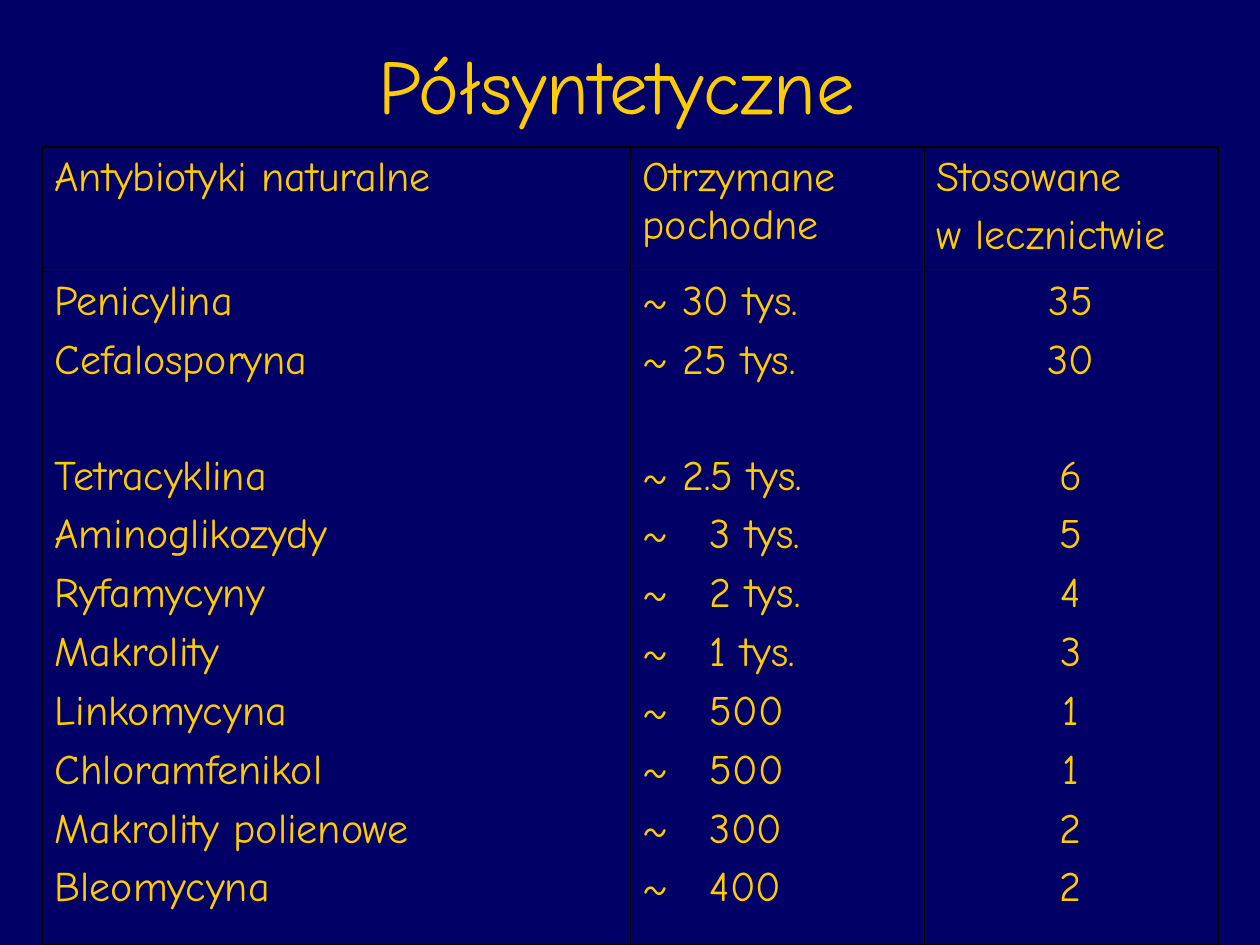
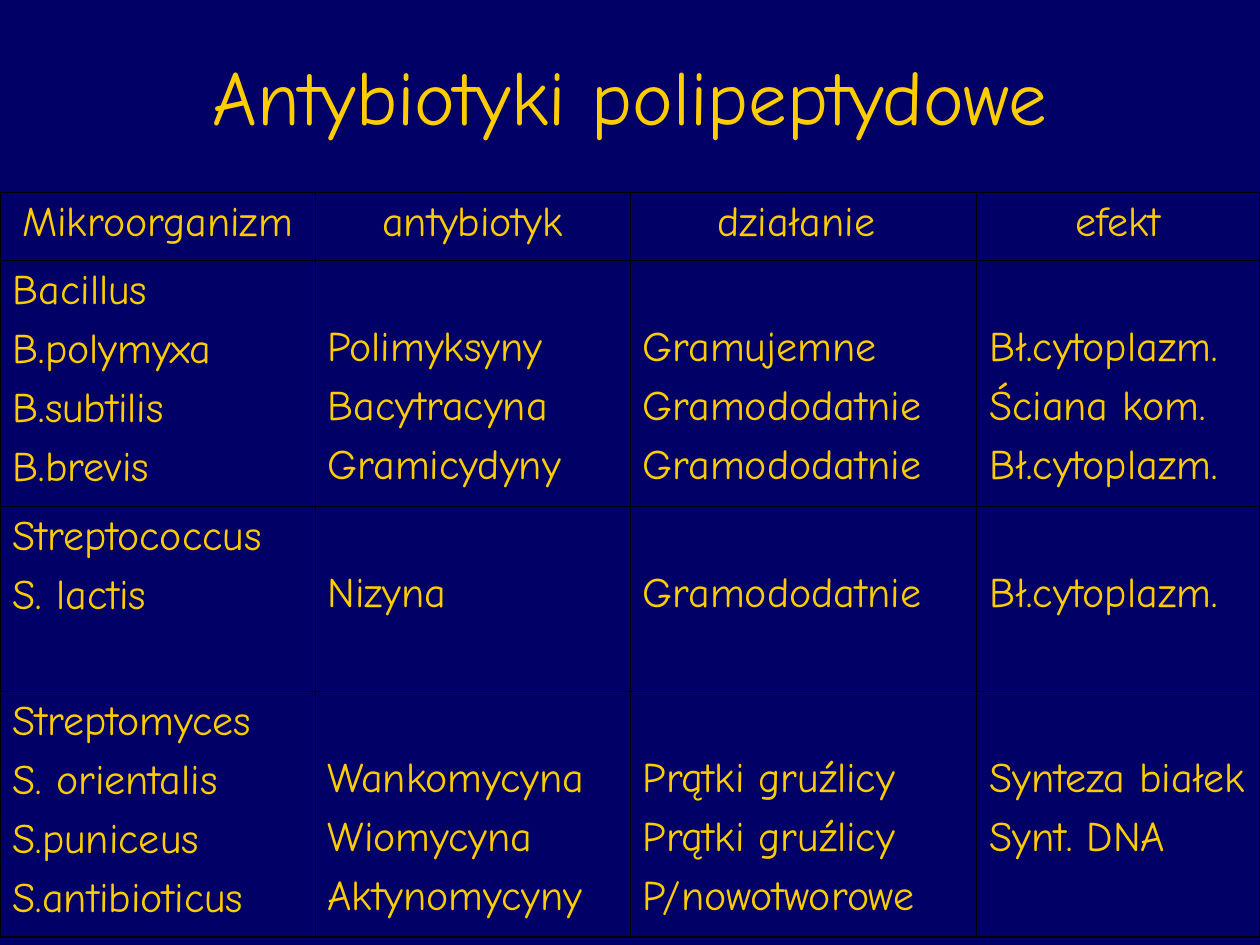
from lxml.etree import SubElement
from pptx import Presentation
from pptx.dml.color import RGBColor
from pptx.enum.text import MSO_ANCHOR as Anchor, MSO_AUTO_SIZE as AutoSize, PP_ALIGN as Align
from pptx.oxml.ns import qn
from pptx.util import Pt

COLORS = {"background": "000066", "text": "FFCC00", "border": "000000"}
FONT = "Comic Neue"
TITLE_SIZE, TABLE_SIZE = 44, 24
INSET_X, INSET_Y = 7.2, 3.6
LINE_GAP, SKIPPED_LINE = 6, 32.4
OUTER_BORDER, INNER_BORDER = 1.08, 0.45
AMOUNT_TAB = 38.5
SKIP = None

DERIVATIVES = [
    ("Penicylina", "~ 30 tys.", "35"),
    ("Cefalosporyna", "~ 25 tys.", "30"),
    (SKIP, SKIP, SKIP),
    ("Tetracyklina", "~ 2.5 tys.", "6"),
    ("Aminoglikozydy", "~\t3 tys.", "5"),
    ("Ryfamycyny", "~\t2 tys.", "4"),
    ("Makrolity", "~\t1 tys.", "3"),
    ("Linkomycyna", "~\t500", "1"),
    ("Chloramfenikol", "~\t500", "1"),
    ("Makrolity polienowe", "~\t300", "2"),
    ("Bleomycyna", "~\t400", "2"),
]
DERIVATIVE_ROWS = [
    [["Antybiotyki naturalne"], ["Otrzymane pochodne"], ["Stosowane", "w lecznictwie"]],
    list(zip(*DERIVATIVES)),
]

POLYPEPTIDE_ROWS = [
    [["Mikroorganizm"], ["antybiotyk"], ["działanie "], ["efekt"]],
    [["Bacillus", "B.polymyxa", "B.subtilis", "B.brevis"],
     [SKIP, "Polimyksyny", "Bacytracyna", "Gramicydyny"],
     [SKIP, "Gramujemne", "Gramododatnie", "Gramododatnie"],
     [SKIP, "Bł.cytoplazm.", "Ściana kom.", "Bł.cytoplazm."]],
    [["Streptococcus", "S. lactis"], [SKIP, "Nizyna"],
     [SKIP, "Gramododatnie"], [SKIP, "Bł.cytoplazm."]],
    [["Streptomyces", "S. orientalis", "S.puniceus", "S.antibioticus"],
     [SKIP, "Wankomycyna", "Wiomycyna", "Aktynomycyny"],
     [SKIP, "Prątki gruźlicy", "Prątki gruźlicy", "P/nowotworowe"],
     [SKIP, "Synteza białek", "Synt. DNA"]],
]


def add_run(paragraph, text, size):
    run = paragraph.add_run()
    run.text = text
    run.font.name = FONT
    run.font.size = Pt(size)
    run.font.color.rgb = RGBColor.from_string(COLORS["text"])


def add_tab_stop(paragraph, position):
    stops = SubElement(paragraph._p.get_or_add_pPr(), qn("a:tabLst"))
    SubElement(stops, qn("a:tab"), pos=str(Pt(position)), algn="l")


def add_titled_slide(deck, title, top, height):
    slide = deck.slides.add_slide(deck.slide_layouts[6])
    background = slide.background.fill
    background.solid()
    background.fore_color.rgb = RGBColor.from_string(COLORS["background"])
    heading = slide.shapes.add_textbox(Pt(54), Pt(top), Pt(612), Pt(height)).text_frame
    heading.word_wrap = True
    heading.auto_size = AutoSize.NONE
    heading.vertical_anchor = Anchor.MIDDLE
    heading.paragraphs[0].alignment = Align.CENTER
    add_run(heading.paragraphs[0], title, TITLE_SIZE)
    return slide


def set_borders(cell, outer_sides):
    properties = cell._tc.get_or_add_tcPr()
    for side, is_outer in outer_sides.items():
        width = OUTER_BORDER if is_outer else INNER_BORDER
        line = SubElement(properties, qn(f"a:ln{side}"), w=str(Pt(width)))
        fill = SubElement(line, qn("a:solidFill"))
        SubElement(fill, qn("a:srgbClr"), val=COLORS["border"])


def fill_cell(cell, lines, alignment):
    cell.margin_left = cell.margin_right = Pt(INSET_X)
    cell.margin_top = cell.margin_bottom = Pt(INSET_Y)
    frame = cell.text_frame
    paragraph = None
    skipped = 0
    for text in lines:
        if text is SKIP:
            skipped += SKIPPED_LINE
            continue
        if paragraph is None:
            paragraph = frame.paragraphs[0]
            cell.margin_top = Pt(INSET_Y + skipped)
        else:
            paragraph = frame.add_paragraph()
            paragraph.space_before = Pt(LINE_GAP + skipped)
        skipped = 0
        paragraph.alignment = alignment
        if "\t" in text:
            add_tab_stop(paragraph, AMOUNT_TAB)
        add_run(paragraph, text, TABLE_SIZE)


def add_antibiotic_table(slide, left, top, widths, heights, rows, alignment_at):
    table = slide.shapes.add_table(len(heights), len(widths), Pt(left), Pt(top),
                                   Pt(sum(widths)), Pt(sum(heights))).table
    table.first_row = table.horz_banding = False
    for column, width in zip(table.columns, widths):
        column.width = Pt(width)
    for row, height in zip(table.rows, heights):
        row.height = Pt(height)
    for r, row in enumerate(rows):
        for c, lines in enumerate(row):
            cell = table.cell(r, c)
            set_borders(cell, {"L": c == 0, "R": c == len(widths) - 1,
                               "T": r == 0, "B": r == len(heights) - 1})
            cell.fill.background()
            fill_cell(cell, lines, alignment_at(r, c))


def main():
    deck = Presentation()
    deck.slide_width, deck.slide_height = Pt(720), Pt(540)

    semisynthetic = add_titled_slide(deck, "Półsyntetyczne ", 24, 48)
    add_antibiotic_table(
        semisynthetic, 24, 84, [336, 168, 168], [71.2, 384.5], DERIVATIVE_ROWS,
        lambda r, c: Align.CENTER if r == 1 and c == 2 else Align.LEFT)

    polypeptide = add_titled_slide(deck, "Antybiotyki polipeptydowe", 18, 72)
    add_antibiotic_table(
        polypeptide, 0, 110, [180, 180, 198, 162], [39, 140.4, 105.8, 140.4], POLYPEPTIDE_ROWS,
        lambda r, c: Align.CENTER if r == 0 else Align.LEFT)

    deck.save("out.pptx")


if __name__ == "__main__":
    main()
